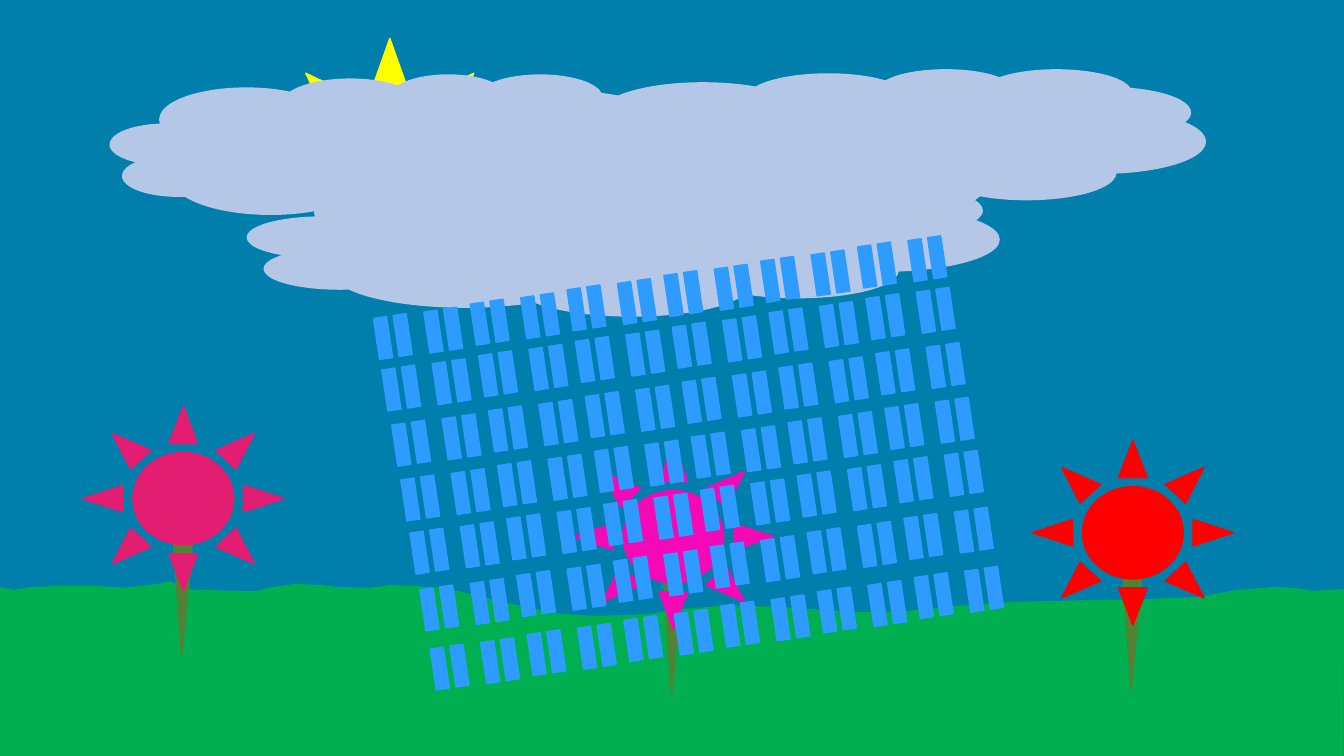
"""Draw a rainy meadow with three flowers, clouds and a hidden sun."""
from dataclasses import dataclass

from pptx import Presentation
from pptx.dml.color import RGBColor
from pptx.enum.shapes import MSO_SHAPE as Preset
from pptx.shapes.autoshape import Shape
from pptx.shapes.shapetree import SlideShapes
from pptx.util import Cm, Pt

SKY_BLUE = RGBColor(0x00, 0x7F, 0xAC)
SUN_YELLOW = RGBColor(0xFF, 0xFF, 0x00)
GRASS_GREEN = RGBColor(0x00, 0xB0, 0x50)
CLOUD_GREY = RGBColor(0xB4, 0xC7, 0xE7)
STEM_GREEN = RGBColor(0x54, 0x82, 0x35)
MAGENTA = RGBColor(0xF5, 0x09, 0xB7)
RED = RGBColor(0xFF, 0x00, 0x00)
CRIMSON = RGBColor(0xE3, 0x1D, 0x72)
RAIN_BLUE = RGBColor(0x2D, 0x9B, 0xFF)


@dataclass(frozen=True)
class Box:
    """Position and size in centimetres."""
    left: float
    top: float
    width: float
    height: float


@dataclass(frozen=True)
class Flower:
    """Corner of a bloom in centimetres, and its colour."""
    left: float
    top: float
    color: RGBColor


SKY = Box(-0.1, 0, 33.99, 19.05)
SUN = Box(6.83, 0.97, 5.99, 5.99)
CLOUDS = (
    Box(13.61, 1.75, 16.76, 3.73),
    Box(2.79, 1.88, 13.94, 3.73),
    Box(6.25, 4.22, 18.92, 3.73),
)
FLOWERS = (
    Flower(14.43, 11.2, MAGENTA),
    Flower(26.01, 11.1, RED),
    Flower(2.08, 10.24, CRIMSON),
)
RAIN_ROWS = (
    (9.19, 7.77), (9.4, 9.07), (9.65, 10.46), (9.88, 11.84),
    (10.11, 13.18), (10.36, 14.61), (10.62, 16.1),
)
DROPS_PER_ROW = 12
DROP_SIZE = 1.42
DROP_TILT = 81.5

MEADOW_UNIT = Cm(0.01)
MEADOW = (
    (-10, 1481), (10, 1483), (25, 1486), (36, 1488), (69, 1483), (76, 1481),
    (170, 1478), (229, 1478), (287, 1481), (312, 1483), (378, 1476),
    (399, 1473), (429, 1466), (452, 1478), (472, 1483), (490, 1488),
    (622, 1491), (645, 1491), (665, 1486), (686, 1481), (724, 1476),
    (742, 1473), (815, 1476), (846, 1481), (930, 1483), (988, 1476),
    (1026, 1478), (1120, 1483), (1227, 1509), (1336, 1534), (1422, 1549),
    (1501, 1554), (1636, 1549), (1692, 1539), (1836, 1527), (1981, 1532),
    (2078, 1539), (2164, 1544), (2283, 1542), (2405, 1529), (2553, 1519),
    (2657, 1516), (2906, 1511), (2939, 1509), (3025, 1506), (3117, 1488),
    (3152, 1486), (3211, 1481), (3259, 1483), (3294, 1488), (3312, 1491),
    (3363, 1488), (3386, 1486), (3383, 1905), (-8, 1905),
)


def paint(shape: Shape, color: RGBColor) -> None:
    """Give a shape one colour for fill and outline, without shadow."""
    shape.shadow.inherit = False
    shape.fill.solid()
    shape.fill.fore_color.rgb = color
    shape.line.color.rgb = color
    shape.line.width = Pt(1)


def draw(shapes: SlideShapes, preset: Preset, box: Box, color: RGBColor) -> Shape:
    """Add a painted preset shape."""
    shape = shapes.add_shape(
        preset, Cm(box.left), Cm(box.top), Cm(box.width), Cm(box.height)
    )
    paint(shape, color)
    return shape


def draw_meadow(shapes: SlideShapes) -> None:
    """Add the grass with its wavy upper edge."""
    outline = shapes.build_freeform(*MEADOW[0], scale=MEADOW_UNIT)
    outline.add_line_segments(MEADOW[1:], close=True)
    paint(outline.convert_to_shape(), GRASS_GREEN)


def draw_flower(shapes: SlideShapes, flower: Flower) -> None:
    """Add a stem and the bloom in front of it."""
    stem_box = Box(flower.left + 1.27, flower.top + 1.22, 2.54, 2.21)
    stem = draw(shapes, Preset.OVAL_CALLOUT, stem_box, STEM_GREEN)
    stem.adjustments[0] = -0.016
    stem.adjustments[1] = 1.799
    bloom_box = Box(flower.left, flower.top, 5.08, 4.65)
    draw(shapes, Preset.SUN, bloom_box, flower.color)


def draw_rain_row(shapes: SlideShapes, left: float, top: float) -> None:
    """Add one slanted row of drops, spaced in pairs."""
    for index in range(DROPS_PER_ROW):
        pair, second = divmod(index, 2)
        drop_box = Box(
            left + 2.44 * pair + 1.27 * second,
            top - 0.36 * pair - 0.16 * second,
            DROP_SIZE,
            DROP_SIZE,
        )
        drop = draw(shapes, Preset.MATH_EQUAL, drop_box, RAIN_BLUE)
        drop.rotation = DROP_TILT


def main() -> None:
    """Build and save the slide."""
    deck = Presentation()
    deck.slide_width = Cm(33.87)
    deck.slide_height = Cm(19.05)
    shapes = deck.slides.add_slide(deck.slide_layouts[6]).shapes

    draw(shapes, Preset.RECTANGLE, SKY, SKY_BLUE)
    draw(shapes, Preset.SUN, SUN, SUN_YELLOW)
    draw_meadow(shapes)
    for cloud in CLOUDS:
        draw(shapes, Preset.CLOUD, cloud, CLOUD_GREY)
    for flower in FLOWERS:
        draw_flower(shapes, flower)
    for left, top in RAIN_ROWS:
        draw_rain_row(shapes, left, top)

    deck.save("out.pptx")


if __name__ == "__main__":
    main()
